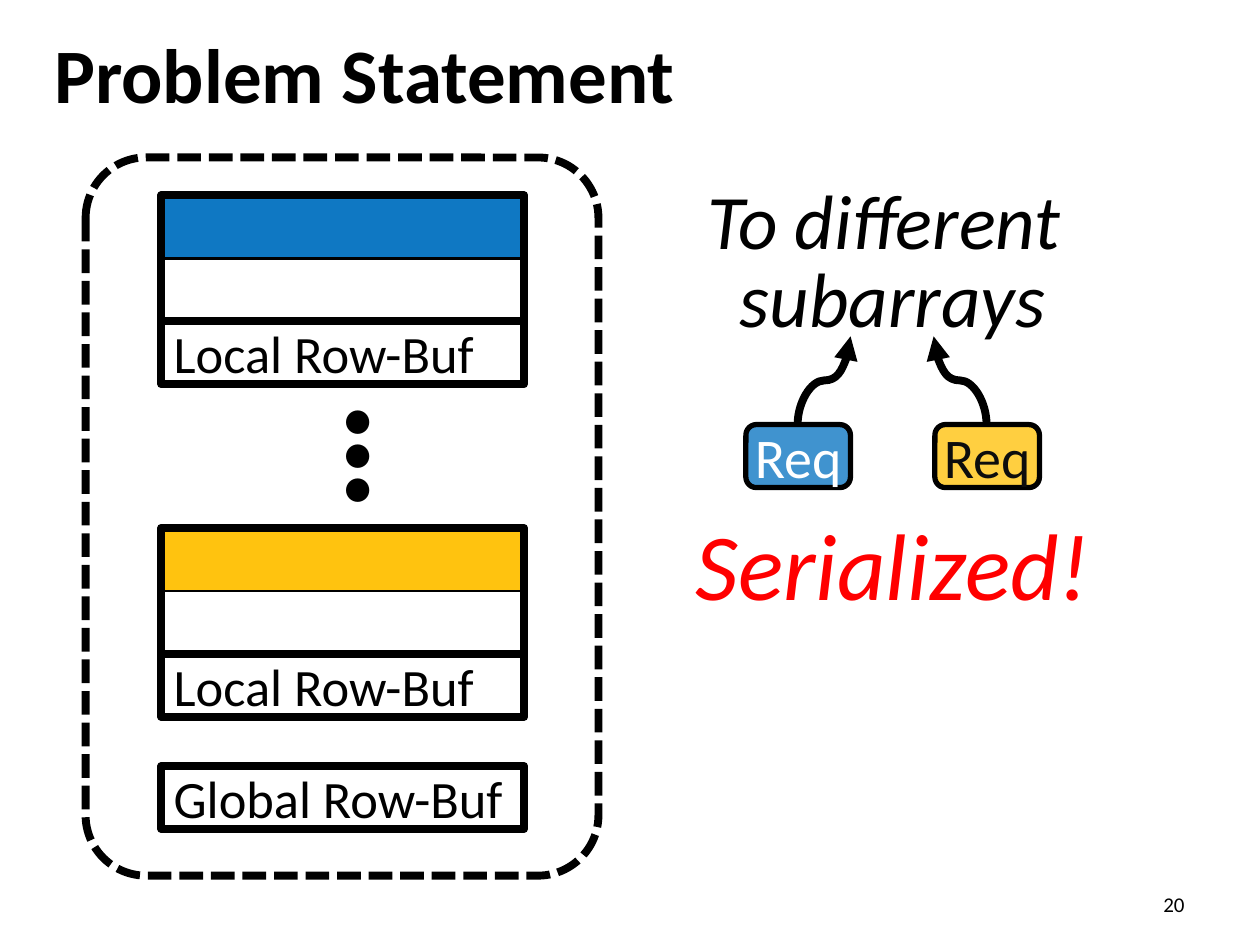
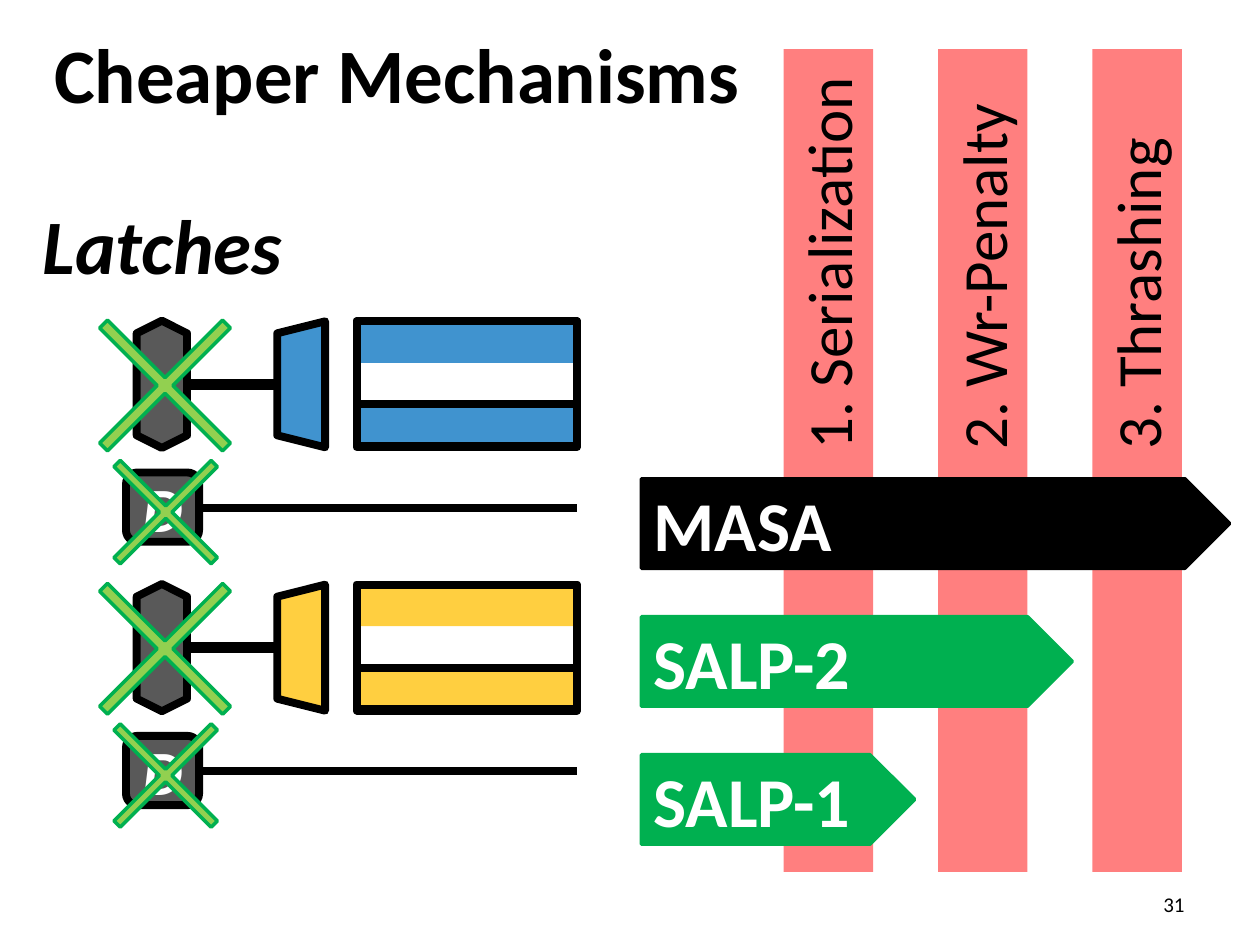
"""Build two slides on subarray requests: the problem and the cheaper mechanisms."""
from lxml.etree import SubElement
from pptx import Presentation
from pptx.dml.color import RGBColor
from pptx.enum.dml import MSO_LINE
from pptx.enum.shapes import MSO_CONNECTOR as CONNECTOR, MSO_SHAPE as SHAPE
from pptx.enum.text import MSO_ANCHOR as ANCHOR, PP_ALIGN as ALIGN
from pptx.oxml.ns import qn
from pptx.util import Inches, Pt

COLOURS = {
    "black": "000000", "white": "FFFFFF", "blue": "0070C0", "yellow": "FFC000",
    "red": "FF0000", "grey": "595959", "ink": "0D0D0D", "green": "00B050", "lime": "92D050",
}
RGB = {name: RGBColor.from_string(value) for name, value in COLOURS.items()}


def add_box(slide, preset, box, fill=None, alpha=100, line=None, width=4.5, rotation=0):
    shape = slide.shapes.add_shape(preset, *map(Inches, box))
    shape.shadow.inherit = False
    shape.rotation = rotation
    if fill:
        shape.fill.solid()
        shape.fill.fore_color.rgb = RGB[fill]
        if alpha < 100:
            colour = shape.fill._xPr.find(".//" + qn("a:srgbClr"))
            SubElement(colour, qn("a:alpha"), val=str(alpha * 1000))
    else:
        shape.fill.background()
    if line:
        shape.line.color.rgb = RGB[line]
        shape.line.width = Pt(width)
        SubElement(shape.line._get_or_add_ln(), qn("a:round"))
    else:
        shape.line.fill.background()
    return shape


def write(shape, text, size, colour="black", align=ALIGN.LEFT, anchor=ANCHOR.MIDDLE,
          bold=False, italic=False):
    text_frame = shape.text_frame
    text_frame.text = text
    text_frame.word_wrap = True
    text_frame.vertical_anchor = anchor
    paragraph = text_frame.paragraphs[0]
    paragraph.alignment = align
    for run in paragraph.runs:
        run.font.name = "Calibri"
        run.font.size = Pt(size)
        run.font.color.rgb = RGB[colour]
        run.font.bold = bold
        run.font.italic = italic
    return paragraph


presentation = Presentation()
presentation.slide_width = Inches(10)
presentation.slide_height = Inches(7.5)

slides = []
for title, number in (("Problem Statement", "20"), ("Cheaper Mechanisms", "31")):
    slide = presentation.slides.add_slide(presentation.slide_layouts[5])
    heading = slide.shapes.title
    heading.left, heading.top = Inches(0.33), Inches(0.08)
    heading.width, heading.height = Inches(9.33), Inches(1)
    write(heading, title, 44, bold=True)
    page = slide.shapes.add_textbox(Inches(7.17), Inches(7), Inches(2.33), Inches(0.35))
    write(page, number, 12, align=ALIGN.RIGHT)
    slides.append(slide)
problem, mechanisms = slides
connectors = []

bank = add_box(problem, SHAPE.ROUNDED_RECTANGLE, (0.68, 1.25, 4.07, 5.7), "white", line="black")
bank.adjustments[0] = 0.118
bank.line.dash_style = MSO_LINE.SQUARE_DOT

for top, colour in ((1.55, "blue"), (4.19, "yellow")):
    add_box(problem, SHAPE.RECTANGLE, (1.28, top + 0.5, 2.88, 0.5), "white", line="black", width=1.5)
    add_box(problem, SHAPE.RECTANGLE, (1.28, top, 2.88, 0.5), colour, 94, "black", 1.5)
    add_box(problem, SHAPE.RECTANGLE, (1.28, top, 2.88, 1), line="black")

for top, label in ((2.55, "Local Row-Buf"), (5.19, "Local Row-Buf"), (6.08, "Global Row-Buf")):
    row_buffer = add_box(problem, SHAPE.RECTANGLE, (1.28, top, 2.88, 0.5), line="black")
    write(row_buffer, label, 30)

dots = problem.shapes.add_textbox(Inches(2.15), Inches(3.32), Inches(1.14), Inches(0.61))
dots.rotation = 270
write(dots, "···", 72, align=ALIGN.CENTER, bold=True)

for left, colour, ink in ((5.92, "blue", "white"), (7.42, "yellow", "ink")):
    request = add_box(problem, SHAPE.ROUNDED_RECTANGLE, (left, 3.37, 0.83, 0.5), colour, 75, "black", 3)
    request.text_frame.margin_left = request.text_frame.margin_right = 0
    write(request, "Req", 32, ink, ALIGN.CENTER)

target = problem.shapes.add_textbox(Inches(5.5), Inches(1.67), Inches(3.17), Inches(0.87))
write(target, "To different \vsubarrays", 44, align=ALIGN.CENTER, italic=True).line_spacing = 0.85
verdict = problem.shapes.add_textbox(Inches(5.42), Inches(4.17), Inches(3.33), Inches(0.59))
write(verdict, "Serialized!", 54, "red", ALIGN.CENTER, italic=True)

for start, end, rotation in ((6.89, 6.19, 90), (7.27, 7.97, 270)):
    arrow = problem.shapes.add_connector(
        CONNECTOR.CURVE, Inches(start), Inches(3.23), Inches(end), Inches(2.81))
    arrow._element.spPr.find(qn("a:xfrm")).set("rot", str(rotation * 60000))
    SubElement(arrow.line._get_or_add_ln(), qn("a:tailEnd"), type="triangle")
    connectors.append((arrow, 4.5))

latches = mechanisms.shapes.add_textbox(Inches(0.19), Inches(1.64), Inches(2.2), Inches(0.59))
write(latches, "Latches", 44, align=ALIGN.CENTER, bold=True, italic=True)

for top, colour in ((2.55, "blue"), (4.64, "yellow")):
    add_box(mechanisms, SHAPE.RECTANGLE, (2.83, top, 1.75, 1), "white", line="black")
    add_box(mechanisms, SHAPE.RECTANGLE, (2.83, top, 1.75, 0.33), colour, 75)
    add_box(mechanisms, SHAPE.RECTANGLE, (2.83, top + 0.66, 1.75, 0.33), colour, 75, "black")
    add_box(mechanisms, SHAPE.RECTANGLE, (2.83, top, 1.75, 0.66), line="black")
    add_box(mechanisms, SHAPE.TRAPEZOID, (1.89, top + 0.31, 1, 0.38), colour, 75, "black", rotation=270)
    add_box(mechanisms, SHAPE.HEXAGON, (0.78, top + 0.3, 1.01, 0.4), "grey", line="black", rotation=270)
    data_latch = add_box(mechanisms, SHAPE.ROUNDED_RECTANGLE, (1, top + 1.2, 0.58, 0.55), "grey", line="black")
    write(data_latch, "D", 36, "white", ALIGN.CENTER, bold=True, italic=True)
    for start, end, drop, width in ((1.49, 2.2, 0.5, 6), (1.58, 4.58, 1.48, 4.5)):
        wire = mechanisms.shapes.add_connector(
            CONNECTOR.STRAIGHT, Inches(start), Inches(top + drop), Inches(end), Inches(top + drop))
        connectors.append((wire, width))
    for left, drop, size in ((0.77, 0.97, 1.09), (0.62, -0.18, 1.38)):
        cross = add_box(mechanisms, SHAPE.CROSS, (left, top + drop, size, size), "lime",
                        line="green", width=2, rotation=45)
        cross.adjustments[0] = 0.468

for index, label in enumerate(("1. Serialization", "2. Wr-Penalty", "3. Thrashing")):
    stripe = add_box(mechanisms, SHAPE.RECTANGLE, (3.31 + 1.225 * index, 3.3, 6.53, 0.71),
                     "red", 50, rotation=270)
    stripe.text_frame.margin_left = Inches(3.35)
    write(stripe, label, 36, anchor=ANCHOR.TOP)

for index, (label, colour) in enumerate((("MASA", "black"), ("SALP-2", "green"), ("SALP-1", "green"))):
    reach = add_box(mechanisms, SHAPE.PENTAGON, (5.09, 3.8 + 1.095 * index, 4.67 - 1.25 * index, 0.71),
                    colour, line=colour, width=2)
    write(reach, label, 40, "white", bold=True)

for connector, width in connectors:
    connector.line.color.rgb = RGB["black"]
    connector.line.width = Pt(width)
    SubElement(connector._element.spPr, qn("a:effectLst"))

presentation.save("out.pptx")
